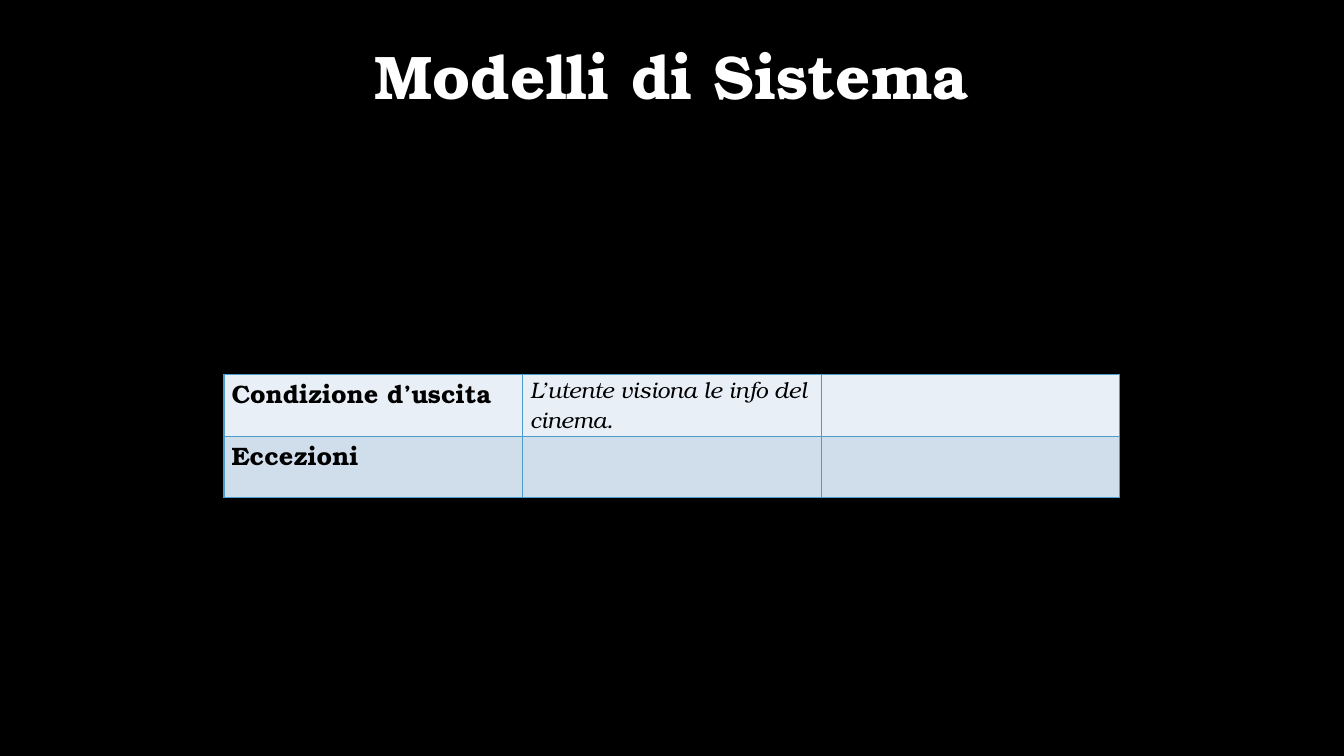
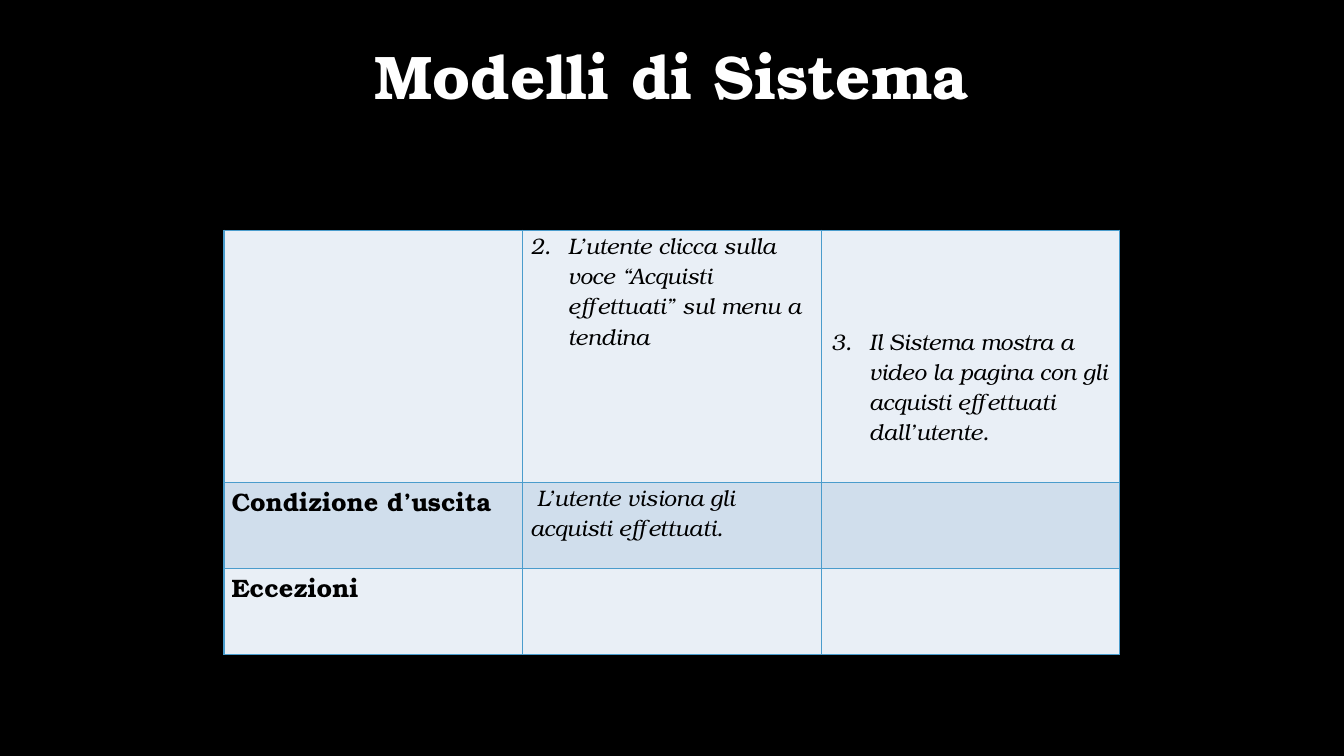
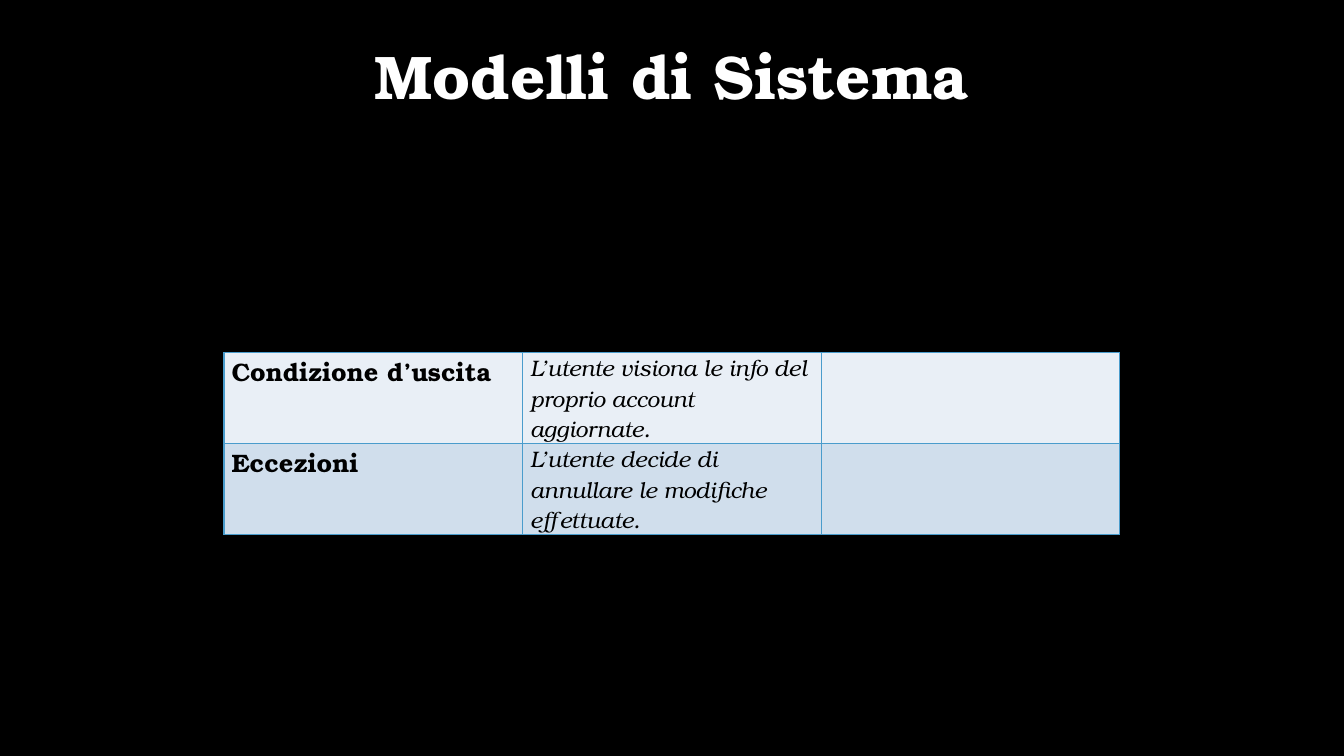
from lxml import etree
from pptx import Presentation
from pptx import util as u
from pptx.dml.color import RGBColor
from pptx.enum import shapes, text
from pptx.oxml.ns import qn

COLOURS = {
    "background": "000000",
    "title": "FFFFFF",
    "body": "000000",
    "border": "4A9CCC",
    "light": "E9EFF6",
    "dark": "D0DEEC",
}
FONT = "TeX Gyre Bonum"
PAGE_WIDTH, PAGE_HEIGHT = 960, 540
PANEL_WIDTH = 770
TABLE_WIDTH, COLUMNS = 640, 3
FORMATS = {
    "title": {"name": FONT, "size": u.Pt(44), "bold": True},
    "label": {"name": FONT, "size": u.Pt(18), "bold": True},
    "step": {"name": FONT, "size": u.Pt(16), "italic": True},
}
TEXT_MARGINS = {"margin_left": u.Pt(5.4), "margin_right": u.Pt(5.4),
                "margin_top": 0, "margin_bottom": 0}
LOWERED_MARGINS = {"margin_left": u.Pt(7.2), "margin_right": u.Pt(7.2),
                   "margin_top": u.Pt(68.4), "margin_bottom": 0}

SLIDES = [
    (189, 245.5, 267.5, [
        (44, ["Condizione d’uscita", "L’utente visiona le info del cinema.", ""]),
        (44, ["Eccezioni", "", ""]),
    ]),
    (122.5, 383, 164.5, [
        (180, ["",
               (2, "L’utente clicca sulla voce “Acquisti effettuati” sul menu a tendina", TEXT_MARGINS),
               (3, "Il Sistema mostra a video la pagina con gli acquisti effettuati dall’utente.",
                LOWERED_MARGINS)]),
        (61.5, ["Condizione d’uscita", " L’utente visiona gli acquisti effettuati.", ""]),
        (61.5, ["Eccezioni", "", ""]),
    ]),
    (169, 288, 252, [
        (65, ["Condizione d’uscita", "L’utente visiona le info del proprio account aggiornate.", ""]),
        (65, ["Eccezioni", "L’utente decide di annullare le modifiche effettuate.", ""]),
    ]),
]


def colour(name):
    return RGBColor.from_string(COLOURS[name])


def set_all(target, values):
    for name, value in values.items():
        setattr(target, name, value)


def paint(fill, name):
    fill.solid()
    fill.fore_color.rgb = colour(name)


def write(para, words, style, colour_name):
    span = para.add_run()
    span.text = words
    set_all(span.font, FORMATS[style])
    span.font.color.rgb = colour(colour_name)


def add_band(page, top, width, height):
    left = (PAGE_WIDTH - width) / 2
    band = page.shapes.add_shape(shapes.MSO_SHAPE.RECTANGLE, u.Pt(left), u.Pt(top),
                                 u.Pt(width), u.Pt(height))
    band.shadow.inherit = False
    paint(band.fill, "background")
    band.line.fill.background()
    return band


def add_title(page):
    box = add_band(page, 29.5, PAGE_WIDTH, 63.5)
    set_all(box.text_frame, {"word_wrap": True, "vertical_anchor": text.MSO_ANCHOR.TOP})
    para = box.text_frame.paragraphs[0]
    set_all(para, {"alignment": text.PP_ALIGN.CENTER, "line_spacing": 0.9})
    write(para, "Modelli di Sistema", "title", "title")


def add_borders(cell):
    properties = cell._tc.get_or_add_tcPr()
    for side in ("lnL", "lnR", "lnT", "lnB"):
        line = etree.SubElement(properties, qn("a:" + side), w=str(u.Pt(1)))
        fill = etree.SubElement(line, qn("a:solidFill"))
        etree.SubElement(fill, qn("a:srgbClr"), val=COLOURS["border"])


def number(para, start):
    properties = para._p.get_or_add_pPr()
    properties.set("marL", str(u.Pt(27)))
    properties.set("indent", str(u.Pt(-27)))
    etree.SubElement(properties, qn("a:buAutoNum"), type="arabicPeriod", startAt=str(start))


def fill_cell(cell, content, style, shade):
    add_borders(cell)
    paint(cell.fill, shade)
    if not content:
        return
    para = cell.text_frame.paragraphs[0]
    margins = TEXT_MARGINS
    if isinstance(content, tuple):
        start, content, margins = content
        number(para, start)
    set_all(cell, margins)
    write(para, content, style, "body")


def add_use_case(page, top, rows):
    height = sum(row_height for row_height, _ in rows)
    left = (PAGE_WIDTH - TABLE_WIDTH) / 2
    table = page.shapes.add_table(len(rows), COLUMNS, u.Pt(left), u.Pt(top),
                                  u.Pt(TABLE_WIDTH), u.Pt(height)).table
    set_all(table, {"first_row": False, "horz_banding": False})
    for column in table.columns:
        column.width = u.Pt(TABLE_WIDTH / COLUMNS)
    for row_index, (row_height, contents) in enumerate(rows):
        table.rows[row_index].height = u.Pt(row_height)
        shade = "dark" if row_index % 2 else "light"
        for column_index, content in enumerate(contents):
            style = "step" if column_index else "label"
            fill_cell(table.cell(row_index, column_index), content, style, shade)


def add_page(deck):
    page = deck.slides.add_slide(deck.slide_layouts[6])
    paint(page.background.fill, "background")
    add_title(page)
    return page


def main():
    deck = Presentation()
    set_all(deck, {"slide_width": u.Pt(PAGE_WIDTH), "slide_height": u.Pt(PAGE_HEIGHT)})
    for panel_top, panel_height, table_top, rows in SLIDES:
        page = add_page(deck)
        add_band(page, panel_top, PANEL_WIDTH, panel_height)
        add_use_case(page, table_top, rows)
    deck.save("out.pptx")


if __name__ == "__main__":
    main()
